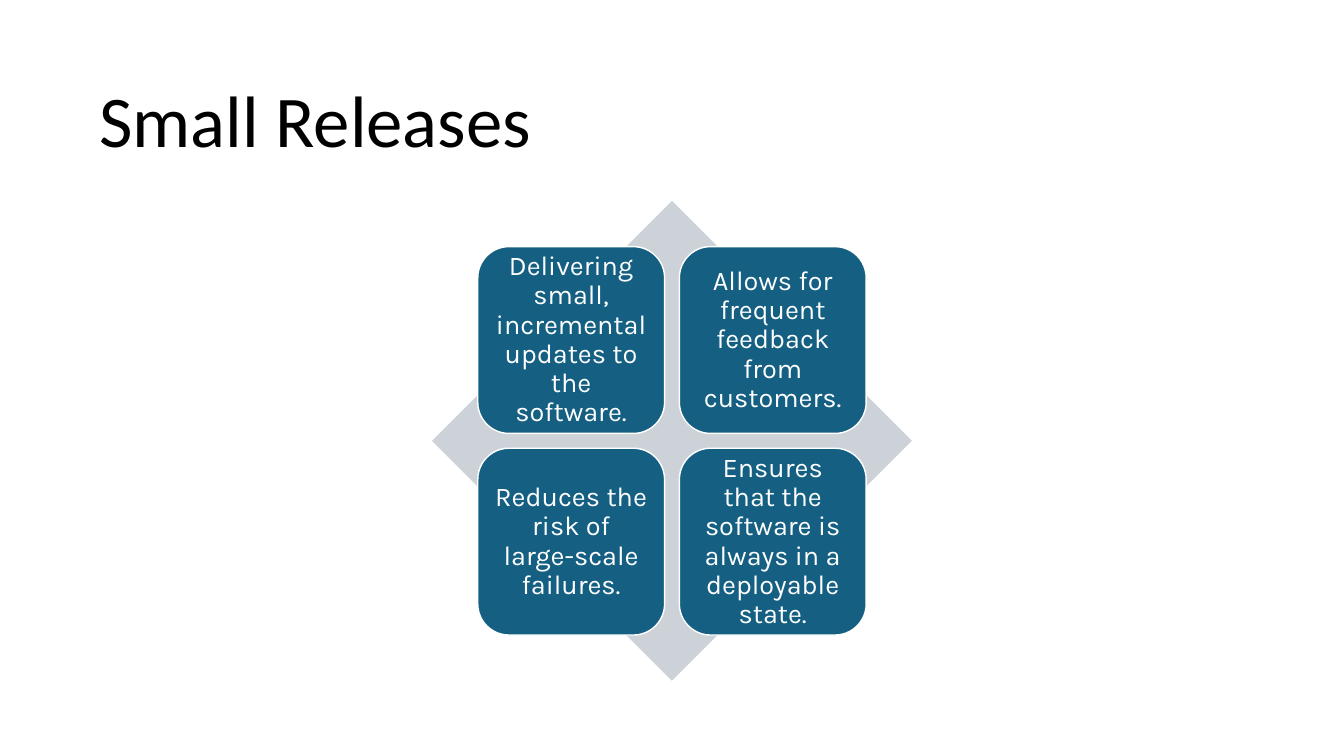
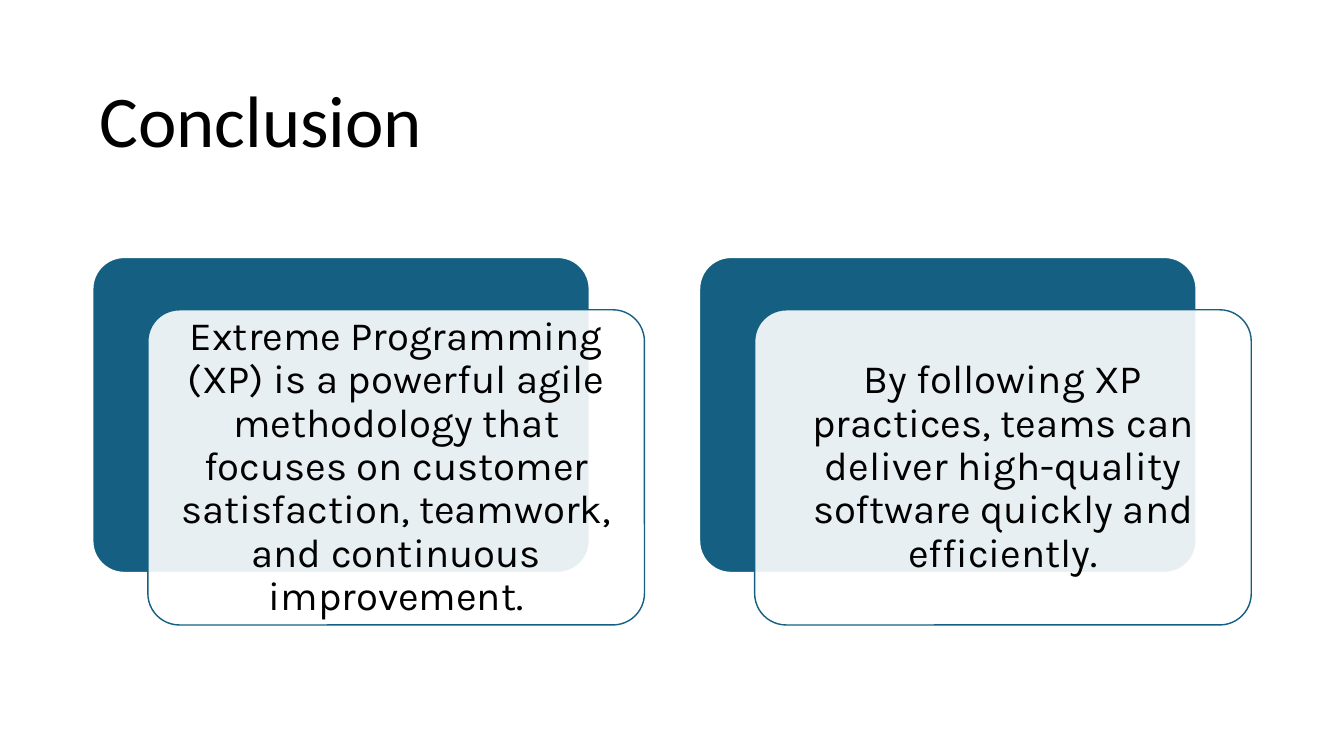
from itertools import product

from lxml import etree
from pptx import Presentation
from pptx.dml.color import RGBColor
from pptx.enum.shapes import MSO_SHAPE as Shape
from pptx.enum.text import MSO_ANCHOR as Anchor, MSO_AUTO_SIZE as AutoSize, PP_ALIGN as Align
from pptx.oxml.ns import qn
from pptx.util import Inches, Pt

COLORS = {
    "white": "FFFFFF",
    "black": "000000",
    "teal": "156082",
    "gray": "CCD2D8",
}
TITLE_FONT, BODY_FONT = "Calibri", "Karla"
TITLE_ONLY_LAYOUT = 5


def color(name):
    return RGBColor.from_string(COLORS[name])


class Deck:
    """Holds the shared style, the current slide and its diagram group."""

    def __init__(self):
        self.presentation = Presentation()
        self.presentation.slide_width = Inches(20)
        self.presentation.slide_height = Inches(11.25)

    def add_slide(self, title):
        layout = self.presentation.slide_layouts[TITLE_ONLY_LAYOUT]
        self.slide = self.presentation.slides.add_slide(layout)
        placeholder = self.slide.shapes.title
        placeholder.left, placeholder.top = Inches(1.38), Inches(0.91)
        placeholder.width, placeholder.height = Inches(17.25), Inches(1.86)
        self.set_text(placeholder, title, TITLE_FONT, 78, "black", Align.LEFT)
        self.diagram = self.slide.shapes.add_group_shape()

    def set_text(self, shape, text, font, size, text_color, align):
        frame = shape.text_frame
        frame.text = text
        frame.word_wrap = True
        frame.auto_size = AutoSize.NONE
        frame.vertical_anchor = Anchor.MIDDLE
        paragraph = frame.paragraphs[0]
        paragraph.alignment = align
        paragraph.line_spacing = 0.9
        paragraph.font.name = font
        paragraph.font.size = Pt(size)
        paragraph.font.color.rgb = color(text_color)

    def add_shape(self, kind, left, top, width, height, fill, line=None, opacity=None):
        shape = self.diagram.shapes.add_shape(
            kind, Inches(left), Inches(top), Inches(width), Inches(height))
        shape.shadow.inherit = False
        shape.fill.solid()
        shape.fill.fore_color.rgb = color(fill)
        if opacity is not None:
            fill_color = shape.element.spPr.find(qn("a:solidFill"))[0]
            etree.SubElement(fill_color, qn("a:alpha"), val=str(opacity * 1000))
        if line:
            shape.line.color.rgb = color(line)
            shape.line.width = Pt(1.5)
        else:
            shape.line.fill.background()
        return shape

    def add_card(self, left, top, width, height, fill, line, radius, opacity=None):
        card = self.add_shape(
            Shape.ROUNDED_RECTANGLE, left, top, width, height, fill, line, opacity)
        card.adjustments[0] = radius
        return card

    def add_card_text(self, card, text, size, text_color, inset):
        self.set_text(card, text, BODY_FONT, size, text_color, Align.CENTER)
        frame = card.text_frame
        frame.margin_left = frame.margin_right = Inches(inset)
        frame.margin_top = frame.margin_bottom = Inches(inset)


def build_small_releases(deck):
    deck.add_slide("Small Releases")
    deck.add_shape(Shape.DIAMOND, 6.43, 2.99, 7.14, 7.14, "gray")

    # Two-by-two grid of benefits over the diamond
    benefits = [
        "Delivering small, incremental updates to the software.",
        "Allows for frequent feedback from customers.",
        "Reduces the risk of large-scale failures.",
        "Ensures that the software is always in a deployable state.",
    ]
    side, pitch = 2.78, 3
    for (row, column), benefit in zip(product(range(2), repeat=2), benefits):
        card = deck.add_card(7.11 + column * pitch, 3.67 + row * pitch, side, side,
                             "teal", "white", 1 / 6)
        deck.add_card_text(card, benefit, 29, "white", 0.12)


def build_conclusion(deck):
    deck.add_slide("Conclusion")

    # Each statement sits on a translucent card offset from a teal one
    statements = [
        "Extreme Programming (XP) is a powerful agile methodology that focuses on "
        "customer satisfaction, teamwork, and continuous improvement.",
        "By following XP practices, teams can deliver high-quality software "
        "quickly and efficiently.",
    ]
    width, height, top, pitch = 7.39, 4.69, 3.83, 9.03
    offset_x, offset_y = 0.82, 0.78
    for index, statement in enumerate(statements):
        left = 1.38 + index * pitch
        deck.add_card(left, top, width, height, "teal", "white", 0.1)
        front = deck.add_card(left + offset_x, top + offset_y, width, height,
                              "white", "teal", 0.1, opacity=90)
        deck.add_card_text(front, statement, 43, "black", 0.18)


def main():
    deck = Deck()
    build_small_releases(deck)
    build_conclusion(deck)
    deck.presentation.save("out.pptx")


if __name__ == "__main__":
    main()
